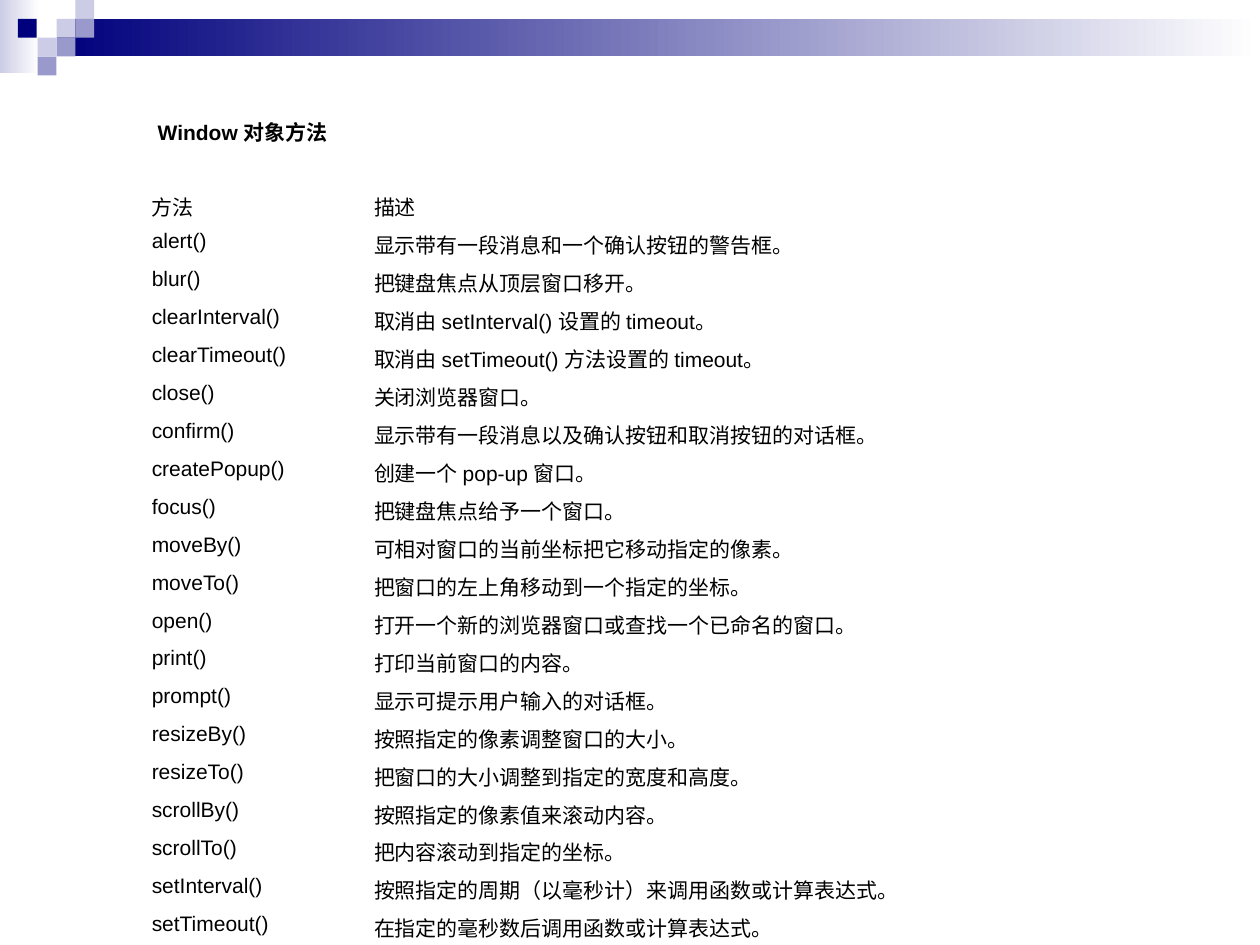
from pptx import Presentation
from pptx.dml.color import RGBColor
from pptx.enum.shapes import MSO_SHAPE
from pptx.enum.text import MSO_ANCHOR, MSO_AUTO_SIZE
from pptx.util import Cm, Pt

RECTANGLE = MSO_SHAPE.RECTANGLE
TOP = MSO_ANCHOR.TOP
FIT_SHAPE = MSO_AUTO_SIZE.SHAPE_TO_FIT_TEXT

COLORS = {
    "navy": "00007D",
    "violet": "9999CC",
    "lilac": "CCCCE6",
    "white": "FFFFFF",
    "text": "000000",
}
FONT = "Arial"
FONT_SIZE = 12

TITLE = "Window 对象方法"
METHODS = [
    ("方法", "描述"),
    ("alert()", "显示带有一段消息和一个确认按钮的警告框。"),
    ("blur()", "把键盘焦点从顶层窗口移开。"),
    ("clearInterval()", "取消由 setInterval() 设置的 timeout。"),
    ("clearTimeout()", "取消由 setTimeout() 方法设置的 timeout。"),
    ("close()", "关闭浏览器窗口。"),
    ("confirm()", "显示带有一段消息以及确认按钮和取消按钮的对话框。"),
    ("createPopup()", "创建一个 pop-up 窗口。"),
    ("focus()", "把键盘焦点给予一个窗口。"),
    ("moveBy()", "可相对窗口的当前坐标把它移动指定的像素。"),
    ("moveTo()", "把窗口的左上角移动到一个指定的坐标。"),
    ("open()", "打开一个新的浏览器窗口或查找一个已命名的窗口。"),
    ("print()", "打印当前窗口的内容。"),
    ("prompt()", "显示可提示用户输入的对话框。"),
    ("resizeBy()", "按照指定的像素调整窗口的大小。"),
    ("resizeTo()", "把窗口的大小调整到指定的宽度和高度。"),
    ("scrollBy()", "按照指定的像素值来滚动内容。"),
    ("scrollTo()", "把内容滚动到指定的坐标。"),
    ("setInterval()", "按照指定的周期（以毫秒计）来调用函数或计算表达式。"),
    ("setTimeout()", "在指定的毫秒数后调用函数或计算表达式。"),
]
COLUMN_WIDTHS = (4.48, 15.01)
ROW_HEIGHT = 0.66

BANDS = [
    ((0, 0, 0.79, 1.47), "lilac"),
    ((1.14, 0.38, 24.26, 0.76), "navy"),
]
SQUARE = 0.38
SQUARES = [
    (3, 1, "lilac"),
    (4, 0, "lilac"),
    (4, 1, "violet"),
    (2, 2, "lilac"),
    (0.95, 1, "navy"),
    (3, 2, "violet"),
    (2, 3, "violet"),
]


def color(name):
    return RGBColor.from_string(COLORS[name])


def add_rectangle(page, left, top, width, height):
    shape = page.shapes.add_shape(RECTANGLE, Cm(left), Cm(top), Cm(width), Cm(height))
    shape.shadow.inherit = False
    shape.line.fill.background()
    return shape


def add_decoration(page):
    for place, name in BANDS:
        fill = add_rectangle(page, *place).fill
        fill.gradient()
        fill.gradient_angle = 0
        for stop, position, shade in zip(fill.gradient_stops, (0, 1), (name, "white")):
            stop.position = position
            stop.color.rgb = color(shade)
    for column, row, name in SQUARES:
        square = add_rectangle(page, column * SQUARE, row * SQUARE, SQUARE, SQUARE)
        square.fill.solid()
        square.fill.fore_color.rgb = color(name)


def write(frame, text, bold=False):
    frame.text = text
    font = frame.paragraphs[0].runs[0].font
    font.name = FONT
    font.size = Pt(FONT_SIZE)
    font.bold = bold
    font.color.rgb = color("text")


def add_method_table(page):
    table = page.shapes.add_table(
        len(METHODS), len(COLUMN_WIDTHS), Cm(2.96), Cm(3.73),
        Cm(sum(COLUMN_WIDTHS)), Cm(ROW_HEIGHT * len(METHODS)),
    ).table
    table.first_row = False
    table.horz_banding = False
    for column, width in zip(table.columns, COLUMN_WIDTHS):
        column.width = Cm(width)
    for row, texts in zip(table.rows, METHODS):
        row.height = Cm(ROW_HEIGHT)
        for cell, text in zip(row.cells, texts):
            cell.fill.background()
            cell.vertical_anchor = TOP
            cell.margin_left = cell.margin_right = Cm(0.1)
            cell.margin_top = Cm(0.13)
            cell.margin_bottom = Cm(0.02)
            write(cell.text_frame, text)


def add_title(page):
    box = page.shapes.add_textbox(Cm(2.93), Cm(2.29), Cm(4.04), Cm(0.76))
    frame = box.text_frame
    frame.word_wrap = False
    frame.auto_size = FIT_SHAPE
    write(frame, TITLE, bold=True)


def main():
    deck = Presentation()
    deck.slide_width = Cm(25.4)
    deck.slide_height = Cm(19.05)
    page = deck.slides.add_slide(deck.slide_layouts[6])
    add_decoration(page)
    add_method_table(page)
    add_title(page)
    deck.save("out.pptx")


if __name__ == "__main__":
    main()
